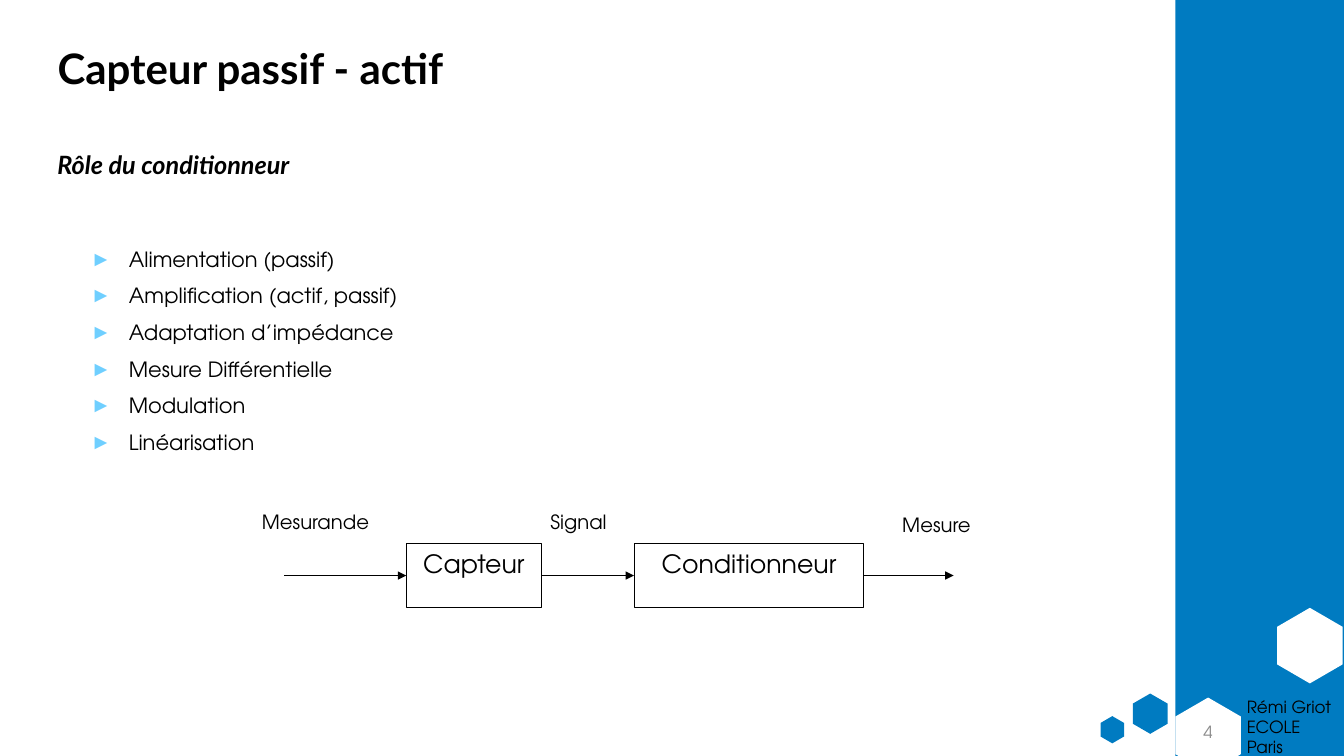
from lxml.etree import SubElement
from pptx import Presentation
from pptx.dml.color import RGBColor
from pptx.enum.shapes import MSO_CONNECTOR, MSO_SHAPE
from pptx.enum.text import MSO_ANCHOR, MSO_AUTO_SIZE, PP_ALIGN
from pptx.oxml.ns import qn
from pptx.util import Inches, Pt

WIDTH, HEIGHT = Inches(13.333), Inches(7.5)
HEADING_FONT, BODY_FONT = "Lato", "TeX Gyre Adventor"
COLOURS = {"blue": "007BC1", "white": "FFFFFF", "black": "000000",
           "grey": "8C8C8C", "bullet": "6FCFFF"}
LEFT, MIDDLE, RIGHT = 1, MSO_ANCHOR.MIDDLE, 3


def colour(name):
    return RGBColor.from_string(COLOURS[name])


def area(left, top, width, height):
    """Turn percentages of the slide's size into lengths."""
    return (int(WIDTH * left / 100), int(HEIGHT * top / 100),
            int(WIDTH * width / 100), int(HEIGHT * height / 100))


def write(shape, lines, size, font=BODY_FONT, tint="black", align=PP_ALIGN.LEFT,
          anchor=MSO_ANCHOR.TOP, bold=False, italic=False):
    frame = shape.text_frame
    frame.text = "\n".join(lines)
    frame.word_wrap = True
    frame.auto_size = MSO_AUTO_SIZE.NONE
    frame.vertical_anchor = anchor
    for paragraph in frame.paragraphs:
        paragraph.alignment = align
        for run in paragraph.runs:
            run.font.name, run.font.size = font, Pt(size)
            run.font.bold, run.font.italic = bold, italic
            run.font.color.rgb = colour(tint)
    return frame


def add_text(slide, place, lines, size, **style):
    return write(slide.shapes.add_textbox(*area(*place)), lines, size, **style)


def add_filled(slide, kind, place, fill):
    shape = slide.shapes.add_shape(kind, *place)
    shape.shadow.inherit = False
    shape.fill.solid()
    shape.fill.fore_color.rgb = colour(fill)
    shape.line.fill.background()
    return shape


def add_hexagon(slide, centre_x, centre_y, size, fill):
    """Pointed-top hexagon; its size is a percentage of the slide's height."""
    long_side = HEIGHT * size / 100
    short_side = long_side * 0.866
    x, y = WIDTH * centre_x / 100, HEIGHT * centre_y / 100
    place = [int(value) for value in
             (x - long_side / 2, y - short_side / 2, long_side, short_side)]
    hexagon = add_filled(slide, MSO_SHAPE.HEXAGON, place, fill)
    hexagon.adjustments[0] = 0.29
    hexagon.rotation = 90


def add_block(slide, left, width, label):
    block = slide.shapes.add_shape(MSO_SHAPE.RECTANGLE, *area(left, 71.87, width, 8.53))
    block.shadow.inherit = False
    block.fill.background()
    block.line.color.rgb = colour("black")
    block.line.width = Pt(0.75)
    write(block, [label], 18, align=PP_ALIGN.CENTER)
    return block


def add_arrow(slide, start, end, source=None, target=None):
    x1, y, x2, _ = area(start, 76.13, end, 0)
    arrow = slide.shapes.add_connector(MSO_CONNECTOR.STRAIGHT, x1, y, x2, y)
    if source:
        arrow.begin_connect(source, RIGHT)
    if target:
        arrow.end_connect(target, LEFT)
    arrow.line.color.rgb = colour("black")
    arrow.line.width = Pt(0.5)
    SubElement(arrow.line._get_or_add_ln(), qn("a:tailEnd"), type="triangle")
    SubElement(arrow._element.spPr, qn("a:effectLst"))


def space(paragraph, before=10):
    paragraph.line_spacing = 0.9
    paragraph.space_before = Pt(before)


def add_bullet(paragraph):
    space(paragraph)
    properties = paragraph._p.get_or_add_pPr()
    indent = Inches(0.38)
    properties.set("marL", str(indent))
    properties.set("indent", str(-indent))
    bullet_colour = SubElement(properties, qn("a:buClr"))
    SubElement(bullet_colour, qn("a:srgbClr"), val=COLOURS["bullet"])
    SubElement(properties, qn("a:buFont"), typeface="Arial")
    SubElement(properties, qn("a:buChar"), char="►")


def add_side_panel(slide):
    add_filled(slide, MSO_SHAPE.RECTANGLE, area(87.45, 0, 12.55, 100), "blue")
    for hexagon in ((97.46, 85.4, 10, "white"), (85.58, 94.4, 5.33, "blue"),
                    (82.76, 96.53, 3.6, "blue"), (89.89, 97.27, 10, "white")):
        add_hexagon(slide, *hexagon)
    add_text(slide, (92.03, 91.47, 8.25, 6.67), ["Rémi Griot", "ECOLE Paris"], 12)
    add_text(slide, (87.45, 94.13, 4.88, 5.33), ["4"], 12, tint="grey",
             align=PP_ALIGN.CENTER, anchor=MIDDLE)


def add_headings(slide):
    title = slide.shapes.title
    title.left, title.top, title.width, title.height = area(3.53, -0.27, 81.15, 19.33)
    frame = write(title, ["Capteur passif - actif"], 30, font=HEADING_FONT,
                  anchor=MIDDLE, bold=True)
    space(frame.paragraphs[0], 0)
    frame = add_text(slide, (3.53, 19.6, 40.43, 5.33), ["Rôle du conditionneur"], 18,
                     font=HEADING_FONT, bold=True, italic=True)
    space(frame.paragraphs[0])


def add_roles(slide):
    roles = ["Alimentation (passif)", "Amplification (actif, passif)",
             "Adaptation d’impédance", "Mesure Différentielle",
             "Modulation", "Linéarisation"]
    frame = add_text(slide, (6, 32.27, 50.1, 63.33), roles, 15)
    for paragraph in frame.paragraphs:
        add_bullet(paragraph)


def add_measuring_chain(slide):
    sensor = add_block(slide, 30.23, 10.05, "Capteur")
    conditioner = add_block(slide, 47.18, 17.1, "Conditionneur")
    add_arrow(slide, 21.15, 30.23, target=sensor)
    add_arrow(slide, 40.28, 47.18, sensor, conditioner)
    add_arrow(slide, 64.28, 70.95, source=conditioner)
    for left, top, label in ((12.38, 66.8, "Mesurande"), (31.95, 66.8, "Signal"),
                             (58.58, 67.2, "Mesure")):
        add_text(slide, (left, top, 22.2, 4.53), [label], 14, align=PP_ALIGN.CENTER)


def main():
    presentation = Presentation()
    presentation.slide_width, presentation.slide_height = WIDTH, HEIGHT
    slide = presentation.slides.add_slide(presentation.slide_layouts[5])
    add_side_panel(slide)
    add_headings(slide)
    add_roles(slide)
    add_measuring_chain(slide)
    presentation.save("out.pptx")


if __name__ == "__main__":
    main()
